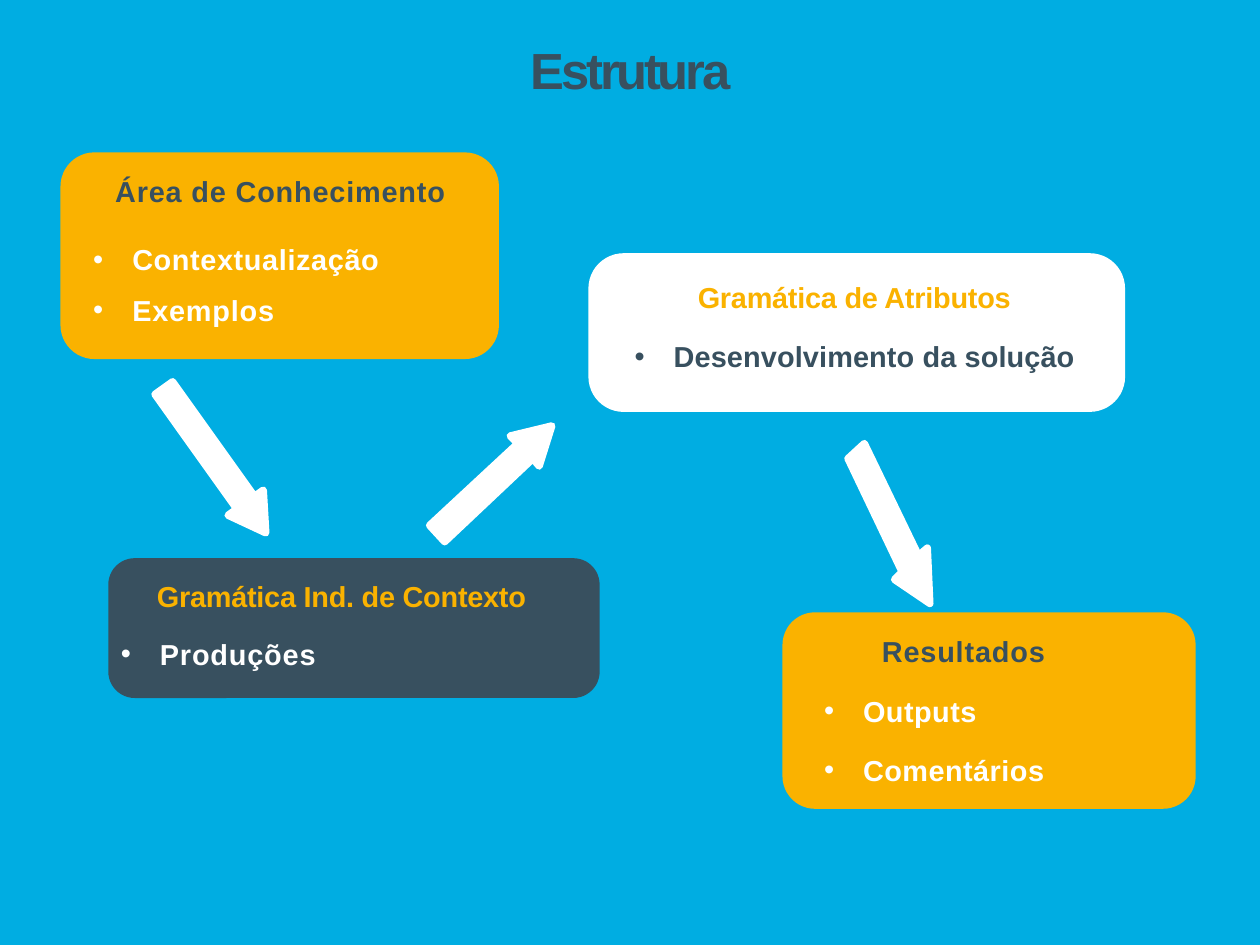
from dataclasses import dataclass

from lxml.etree import SubElement
from pptx import Presentation
from pptx.dml.color import RGBColor
from pptx.enum.shapes import MSO_SHAPE
from pptx.enum.text import MSO_ANCHOR, MSO_AUTO_SIZE, PP_ALIGN
from pptx.oxml.ns import qn
from pptx.util import Inches, Pt

BLUE = RGBColor(0x00, 0xAD, 0xE2)
SLATE = RGBColor(0x38, 0x50, 0x5F)
AMBER = RGBColor(0xFA, 0xB2, 0x00)
WHITE = RGBColor(0xFF, 0xFF, 0xFF)
FONT = "Arial"


@dataclass
class Line:
    """One paragraph and its formatting."""
    text: str
    color: RGBColor
    tracking: float
    before: float = 1.1
    align: PP_ALIGN = PP_ALIGN.CENTER
    bullet: bool = False
    margin: float = 0.01
    size: float = 16.5


def bullet_line(text, color, tracking, before, align=PP_ALIGN.LEFT):
    """Describe a bulleted paragraph."""
    return Line(text, color, tracking, before, align, True, 0.33)


def write_line(paragraph, line):
    """Write one described line into a paragraph."""
    paragraph.alignment = line.align
    paragraph.space_before = Pt(line.before)
    properties = paragraph._p.get_or_add_pPr()
    properties.set("marL", str(Inches(line.margin)))
    properties.set("indent", str(Inches(-0.31 if line.bullet else 0)))
    if line.bullet:
        SubElement(properties, qn("a:buFont")).set("typeface", FONT)
        SubElement(properties, qn("a:buChar")).set("char", "•")
    run = paragraph.add_run()
    run.text = line.text
    run.font.name = FONT
    run.font.size = Pt(line.size)
    run.font.bold = True
    run.font.color.rgb = line.color
    run._r.get_or_add_rPr().set("spc", str(round(line.tracking * 100)))


def write_lines(shape, lines, inset=0.02):
    """Fill a text shape with described lines."""
    frame = shape.text_frame
    frame.word_wrap = True
    frame.auto_size = MSO_AUTO_SIZE.NONE
    frame.vertical_anchor = MSO_ANCHOR.TOP
    frame.margin_left = frame.margin_right = frame.margin_bottom = 0
    frame.margin_top = Inches(inset)
    for index, line in enumerate(lines):
        paragraph = frame.add_paragraph() if index else frame.paragraphs[0]
        write_line(paragraph, line)


def add_title(slide, box, text):
    """Place and format the slide title."""
    title = slide.shapes.title
    title.left, title.top, title.width, title.height = map(Inches, box)
    write_lines(title, [Line(text, SLATE, -1.9, size=29)])


def add_panel(slide, box, fill, radius, texts):
    """Draw a rounded panel with text boxes offset from its corner."""
    left, top, width, height = box
    panel = slide.shapes.add_shape(MSO_SHAPE.ROUNDED_RECTANGLE, *map(Inches, box))
    panel.adjustments[0] = radius / height
    panel.shadow.inherit = False
    panel.fill.solid()
    panel.fill.fore_color.rgb = fill
    panel.line.fill.background()
    for (across, down, text_width, text_height), inset, lines in texts:
        text_box = slide.shapes.add_textbox(
            Inches(left + across), Inches(top + down), Inches(text_width), Inches(text_height))
        write_lines(text_box, lines, inset)


def add_block_arrow(slide, left, top, offsets):
    """Draw a white block arrow from corner offsets."""
    points = [(Inches(left + x), Inches(top + y)) for x, y in offsets]
    builder = slide.shapes.build_freeform(*points[0])
    builder.add_line_segments(points[1:], close=True)
    arrow = builder.convert_to_shape()
    arrow.shadow.inherit = False
    arrow.fill.solid()
    arrow.fill.fore_color.rgb = WHITE
    arrow.line.color.rgb = WHITE
    arrow.line.width = Pt(4.17)
    SubElement(arrow.line._get_or_add_ln(), qn("a:round"))


def add_panels(slide):
    """Place the four structure panels."""
    add_panel(slide, (0.48, 1.21, 3.48, 1.64), AMBER, 0.27, [
        ((0, 0.15, 3.48, 0.29), 0.02, [Line("Área de Conhecimento", SLATE, 0.5)]),
        ((0.24, 0.57, 2.8, 0.83), 0.14, [
            bullet_line("Contextualização", WHITE, 0.4, 10.2),
            bullet_line("Exemplos", WHITE, 0.5, 9.2)]),
    ])
    add_panel(slide, (0.86, 4.43, 3.9, 1.11), SLATE, 0.21, [
        ((0.04, 0.14, 3.61, 0.29), 0.02, [Line("Gramática Ind. de Contexto", AMBER, -0.1)]),
        ((0.08, 0.6, 3.7, 0.29), 0.02, [bullet_line("Produções", WHITE, 0.5, 13.2)]),
    ])
    add_panel(slide, (4.67, 2.01, 4.26, 1.26), WHITE, 0.28, [
        ((-0.02, 0.19, 4.25, 0.29), 0.02, [Line("Gramática de Atributos", AMBER, -0.1)]),
        ((0.28, 0.54, 3.65, 0.42), 0.14, [
            bullet_line("Desenvolvimento da solução", SLATE, 0.1, 10.2, PP_ALIGN.CENTER)]),
    ])
    add_panel(slide, (6.21, 4.86, 3.28, 1.56), AMBER, 0.26, [
        ((0.31, 0.15, 2.47, 1.24), 0.02, [
            Line("Resultados", SLATE, 0.5, align=PP_ALIGN.LEFT, margin=0.48),
            bullet_line("Outputs", WHITE, 0.3, 14.2),
            bullet_line("Comentários", WHITE, 0.3, 14.2)]),
    ])


def add_arrows(slide):
    """Place the three arrows that link the panels."""
    add_block_arrow(slide, 1.23, 3.03, [
        (0.86, 0.86), (0.88, 1.2), (0.58, 1.06), (0.65, 1.01),
        (0, 0.1), (0.14, 0), (0.79, 0.91)])
    add_block_arrow(slide, 3.41, 3.38, [
        (0.64, 0.08), (0.97, 0), (0.87, 0.32), (0.82, 0.26),
        (0.12, 0.92), (0, 0.79), (0.7, 0.14)])
    add_block_arrow(slide, 6.73, 3.52, [
        (0.63, 0.83), (0.65, 1.27), (0.37, 1.08), (0.43, 1.02),
        (0, 0.12), (0.13, 0), (0.56, 0.89)])


def main():
    """Build and save the structure slide."""
    presentation = Presentation()
    presentation.slide_width = Inches(10)
    presentation.slide_height = Inches(7.5)
    slide = presentation.slides.add_slide(presentation.slide_layouts[5])
    slide.background.fill.solid()
    slide.background.fill.fore_color.rgb = BLUE
    add_title(slide, (0, 0.29, 10, 0.51), "Estrutura")
    add_panels(slide)
    add_arrows(slide)
    presentation.save("out.pptx")


if __name__ == "__main__":
    main()
